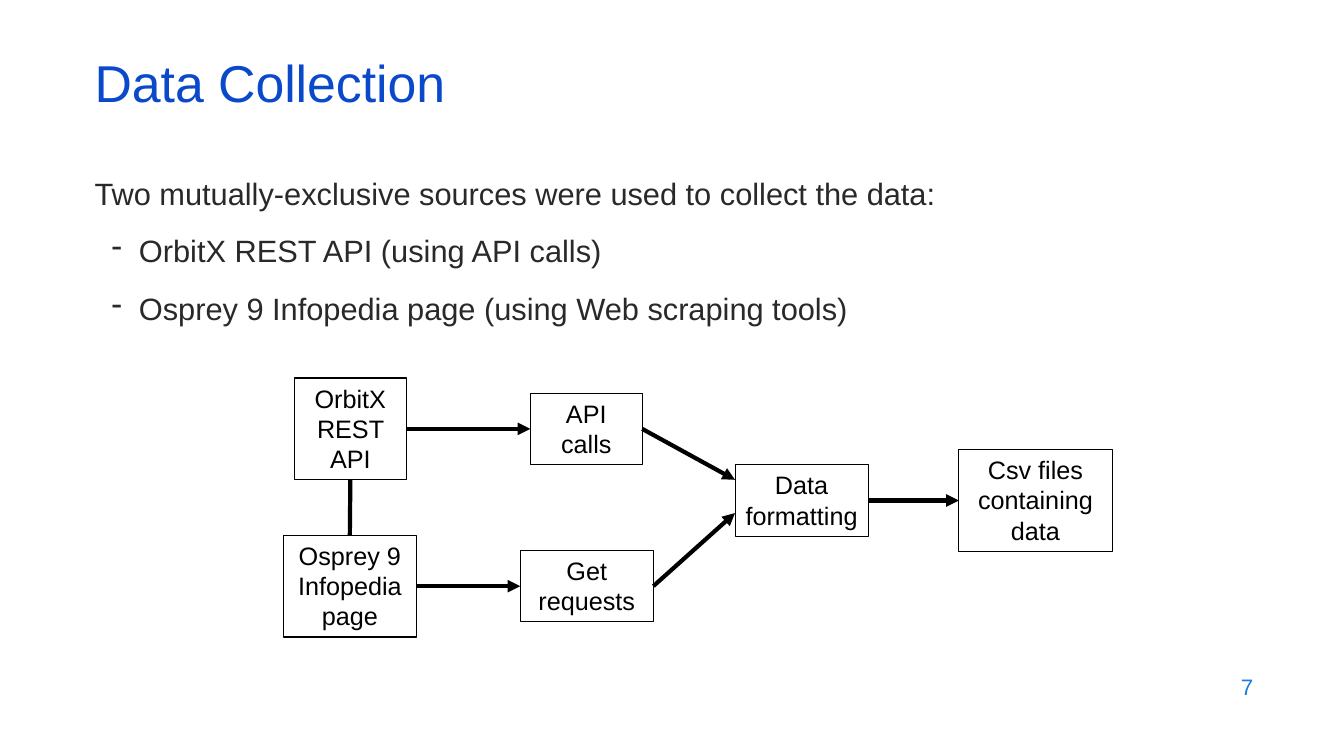
from dataclasses import dataclass
from typing import Any, Optional

from lxml.etree import SubElement
from pptx import Presentation
from pptx.dml.color import RGBColor
from pptx.enum.shapes import MSO_CONNECTOR as Connector, MSO_SHAPE as Preset
from pptx.enum.text import MSO_ANCHOR as Anchor, MSO_AUTO_SIZE as AutoSize, PP_ALIGN as Align
from pptx.oxml.ns import qn
from pptx.util import Emu, Pt

EMU_PER_PX = 9144
FONT = "Arial"
BLACK, WHITE = "000000", "FFFFFF"
TOP, LEFT, BOTTOM, RIGHT = range(4)


@dataclass(frozen=True)
class TextBlock:
    lines: tuple[str, ...]
    box: tuple[int, int, int, int]
    size: int
    color: str
    anchor: Any
    format: dict[str, Any]
    dashed_from: int = 99


@dataclass(frozen=True)
class Step:
    name: str
    text: str
    box: tuple[int, int, int, int]


@dataclass(frozen=True)
class Link:
    source: str
    source_side: int
    end: tuple[int, int]
    target: Optional[str] = None
    target_side: int = LEFT
    arrow: bool = True


TEXT_BLOCKS = (
    TextBlock(("7",), (953, 659, 300, 44), 16, "1C7DDB", Anchor.MIDDLE,
              {"alignment": Align.RIGHT}),
    TextBlock(("Two mutually-exclusive sources were used to collect the data:",
               "OrbitX REST API (using API calls)",
               "Osprey 9 Infopedia page (using Web scraping tools)"),
              (84, 168, 1150, 166), 22, "292929", Anchor.TOP,
              {"space_before": Pt(15)}, dashed_from=1),
    TextBlock(("Data Collection",), (84, 59, 1150, 60), 37, "0B49CB", Anchor.MIDDLE,
              {"line_spacing": 0.7}),
)

STEPS = (
    Step("rest", "OrbitX REST API", (292, 375, 111, 101)),
    Step("page", "Osprey 9 Infopedia page", (281, 531, 132, 101)),
    Step("calls", "API calls", (526, 390, 111, 71)),
    Step("requests", "Get requests", (516, 546, 132, 71)),
    Step("formatting", "Data formatting", (729, 461, 132, 71)),
    Step("files", "Csv files containing data", (951, 446, 152, 101)),
)

LINKS = (
    Link("formatting", RIGHT, (951, 498), "files"),
    Link("calls", RIGHT, (729, 476)),
    Link("requests", RIGHT, (729, 509)),
    Link("rest", RIGHT, (526, 425), "calls"),
    Link("page", RIGHT, (516, 581), "requests"),
    Link("rest", BOTTOM, (347, 531), "page", TOP, arrow=False),
)


def px(length: int) -> Emu:
    return Emu(length * EMU_PER_PX)


def rgb(color: str) -> RGBColor:
    return RGBColor.from_string(color)


def apply(target: Any, values: dict[str, Any]) -> None:
    for name, value in values.items():
        setattr(target, name, value)


def style_font(paragraph: Any, size: int, color: str) -> None:
    apply(paragraph.font, {"name": FONT, "size": Pt(size)})
    paragraph.font.color.rgb = rgb(color)


def add_dash(paragraph: Any) -> None:
    properties = paragraph._p.get_or_add_pPr()
    properties.set("marL", str(px(44)))
    properties.set("indent", str(px(-27)))
    SubElement(properties, qn("a:buChar")).set("char", "-")


def draw_text(slide: Any, block: TextBlock) -> None:
    frame = slide.shapes.add_textbox(*map(px, block.box)).text_frame
    apply(frame, {"word_wrap": True, "vertical_anchor": block.anchor})
    for index, line in enumerate(block.lines):
        paragraph = frame.add_paragraph() if index else frame.paragraphs[0]
        paragraph.text = line
        if index >= block.dashed_from:
            add_dash(paragraph)
        apply(paragraph, block.format)
        if index == 0:
            paragraph.space_before = Pt(0)
        style_font(paragraph, block.size, block.color)


def draw_step(slide: Any, step: Step) -> Any:
    shape = slide.shapes.add_shape(Preset.RECTANGLE, *map(px, step.box))
    shape.shadow.inherit = False
    shape.fill.solid()
    shape.fill.fore_color.rgb = rgb(WHITE)
    shape.line.color.rgb = rgb(BLACK)
    shape.line.width = Pt(0.75)
    frame = shape.text_frame
    apply(frame, {"word_wrap": True, "vertical_anchor": Anchor.TOP,
                  "auto_size": AutoSize.SHAPE_TO_FIT_TEXT})
    paragraph = frame.paragraphs[0]
    paragraph.text = step.text
    paragraph.alignment = Align.CENTER
    style_font(paragraph, 18, BLACK)
    return shape


def draw_link(slide: Any, link: Link, shapes: dict[str, Any]) -> None:
    end = tuple(map(px, link.end))
    connector = slide.shapes.add_connector(Connector.STRAIGHT, *end, *end)
    connector.begin_connect(shapes[link.source], link.source_side)
    if link.target:
        connector.end_connect(shapes[link.target], link.target_side)
    connector.line.color.rgb = rgb(BLACK)
    connector.line.width = Pt(3)
    if link.arrow:
        SubElement(connector.line._get_or_add_ln(), qn("a:tailEnd")).set("type", "triangle")
    SubElement(connector._element.spPr, qn("a:effectLst"))


def main() -> None:
    presentation = Presentation()
    apply(presentation, {"slide_width": px(1333), "slide_height": px(750)})
    slide = presentation.slides.add_slide(presentation.slide_layouts[6])
    for block in TEXT_BLOCKS:
        draw_text(slide, block)
    shapes = {step.name: draw_step(slide, step) for step in STEPS}
    for link in LINKS:
        draw_link(slide, link, shapes)
    presentation.save("out.pptx")


if __name__ == "__main__":
    main()
